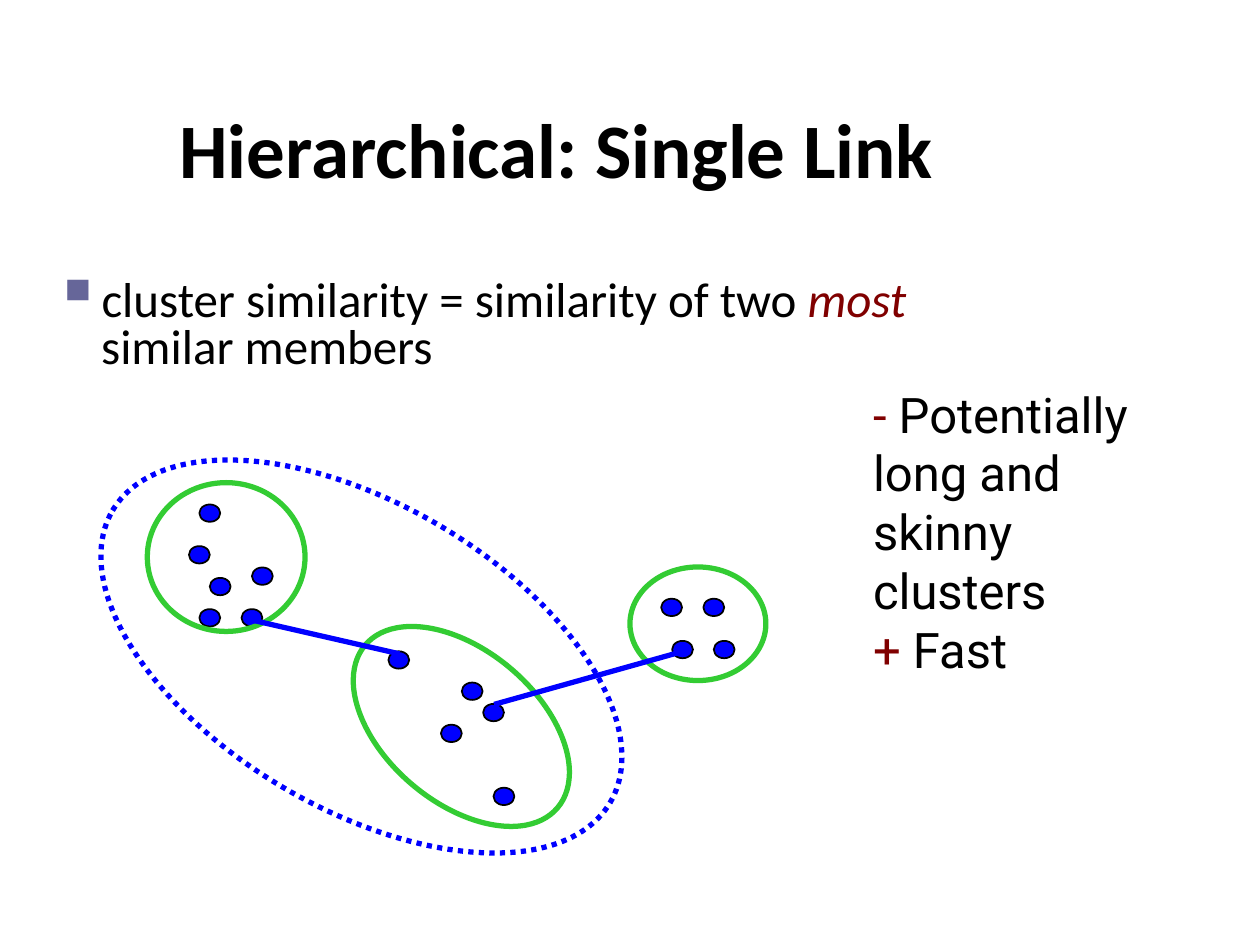
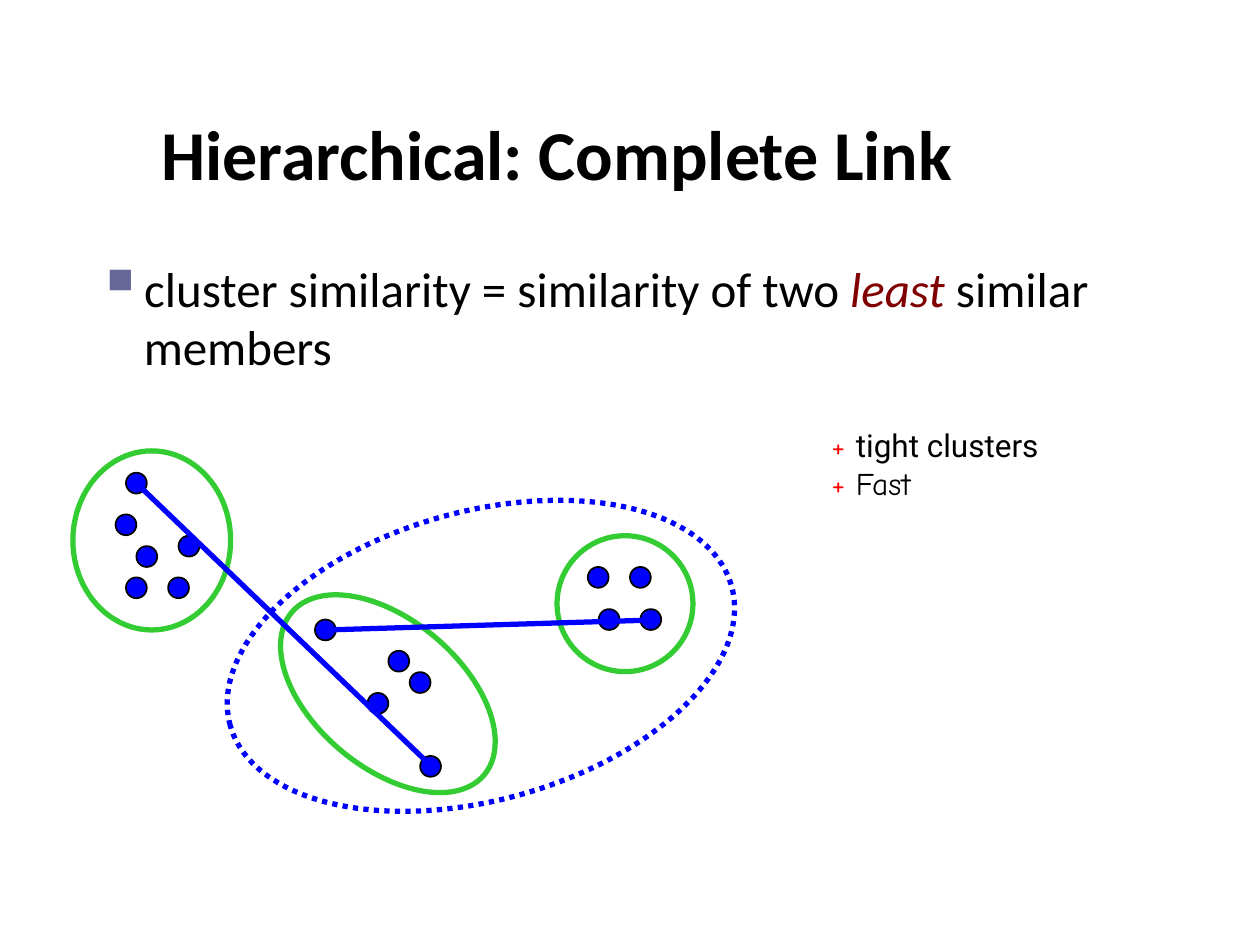
from lxml.etree import SubElement
from pptx import Presentation
from pptx.dml.color import RGBColor
from pptx.enum.dml import MSO_LINE
from pptx.enum.shapes import MSO_CONNECTOR, MSO_SHAPE
from pptx.enum.text import MSO_ANCHOR, PP_ALIGN
from pptx.oxml.ns import qn
from pptx.util import Cm, Pt

BLACK, BLUE, GREEN = "000000", "0000FF", "33CC33"
MAROON, RED, BULLET = "800000", "FF0000", "666699"
TITLE_FONT, NOTE_FONT, HAND_FONT = "Calibri", "Roboto", "Comic Neue"

# Top left corners of the data points (cm); each slide shifts them as a whole
POINTS = {
    "left": [(2.54, 9.53), (2.33, 10.37), (3.6, 10.8),
             (2.75, 11.01), (2.54, 11.64), (3.39, 11.64)],
    "middle": [(6.35, 12.49), (7.83, 13.12), (8.26, 13.55),
               (7.41, 13.97), (8.47, 15.24)],
    "right": [(11.85, 11.43), (12.7, 11.43), (12.07, 12.28), (12.91, 12.28)],
}
POINT_WIDTH = 0.42

# Boxes are left, top, width, height in cm; ellipses add a rotation.
# Runs are text, colour, font.
SLIDES = [
    {
        "title": ("Hierarchical: Single Link", 44, (0.43, 1.7, 21.59, 2.54)),
        "definition_box": (0.84, 5.51, 19.69, 2.34),
        "emphasis": "most",
        "line_spacing": 0.8,
        "point_shift": (1.48, 0.64),
        "point_height": 0.35,
        "clusters": [(12.7, 11.43, 2.74, 2.29, 0),
                     (2.97, 9.73, 3.18, 3, 0),
                     (6.76, 13.11, 5.08, 3.07, 40.2)],
        "links": [(5.08, 12.5, 8.05, 13.18), (13.77, 13.13, 9.96, 14.2)],
        "merged": (1.47, 10.16, 11.63, 6.15, 30.4),
        "notes_box": (17.35, 7.62, 6.99, 5.59),
        "notes_size": 28,
        "notes": [
            [("-", MAROON, NOTE_FONT),
             (" Potentially long and skinny clusters", BLACK, NOTE_FONT)],
            [("+", MAROON, NOTE_FONT), (" Fast", BLACK, NOTE_FONT)],
        ],
    },
    {
        "title": ("Hierarchical: Complete Link", 40, (0.43, 1.91, 21.59, 2.34)),
        "definition_box": (1.7, 5.08, 21.16, 2.74),
        "emphasis": "least",
        "line_spacing": 1.0,
        "point_shift": (0, 0),
        "point_height": 0.42,
        "clusters": [(11.23, 10.8, 2.74, 2.74, 0),
                     (1.47, 9.09, 3.18, 3.61, 0),
                     (5.28, 12.5, 5.08, 2.97, 40.2)],
        "links": [(2.74, 9.73, 8.69, 15.44), (13.13, 12.5, 6.55, 12.7)],
        "merged": (4.45, 10.31, 10.49, 5.82, 344.5),
        "notes_box": (16.51, 8.46, 7.62, 2.79),
        "notes_size": 18,
        "notes": [
            [("+ ", RED, HAND_FONT), ("tight clusters", BLACK, NOTE_FONT)],
            [("+ ", RED, HAND_FONT), ("Fast", BLACK, HAND_FONT)],
        ],
    },
]


def rgb(color):
    return RGBColor.from_string(color)


def cm(values):
    return [Cm(value) for value in values]


def add_text(slide, box, paragraphs, size):
    frame = slide.shapes.add_textbox(*cm(box)).text_frame
    frame.word_wrap = True
    for index, runs in enumerate(paragraphs):
        paragraph = frame.paragraphs[0] if index == 0 else frame.add_paragraph()
        paragraph.font.size = Pt(size)
        for text, color, font in runs:
            run = paragraph.add_run()
            run.text = text
            run.font.name = font
            run.font.color.rgb = rgb(color)
    return frame


def add_title(slide, text, size, box):
    frame = add_text(slide, box, [[(text, BLACK, TITLE_FONT)]], size)
    frame.vertical_anchor = MSO_ANCHOR.MIDDLE
    frame.paragraphs[0].alignment = PP_ALIGN.CENTER
    frame.paragraphs[0].font.bold = True


def add_definition(slide, box, emphasis, line_spacing):
    runs = [("cluster similarity = similarity of two ", BLACK, TITLE_FONT),
            (emphasis, MAROON, TITLE_FONT),
            (" similar members", BLACK, TITLE_FONT)]
    paragraph = add_text(slide, box, [runs], 28).paragraphs[0]
    paragraph.runs[1].font.italic = True
    paragraph.line_spacing = line_spacing
    # Square bullet with a hanging indent
    properties = paragraph._p.get_or_add_pPr()
    indent = Cm(0.95)
    properties.set("marL", str(indent))
    properties.set("indent", str(-indent))
    bullet_color = SubElement(properties, qn("a:buClr"))
    SubElement(bullet_color, qn("a:srgbClr"), val=BULLET)
    SubElement(properties, qn("a:buSzPct"), val="130000")
    SubElement(properties, qn("a:buChar"), char="▪")


def add_ellipse(slide, box, line, width, fill=None, rotation=0):
    ellipse = slide.shapes.add_shape(MSO_SHAPE.OVAL, *cm(box))
    ellipse.shadow.inherit = False
    ellipse.rotation = rotation
    ellipse.line.color.rgb = rgb(line)
    ellipse.line.width = Pt(width)
    if fill:
        ellipse.fill.solid()
        ellipse.fill.fore_color.rgb = rgb(fill)
    else:
        ellipse.fill.background()
    return ellipse


def add_link(slide, ends):
    link = slide.shapes.add_connector(MSO_CONNECTOR.STRAIGHT, *cm(ends))
    link.line.color.rgb = rgb(BLUE)
    link.line.width = Pt(3)
    SubElement(link._element.spPr, qn("a:effectLst"))


def add_diagram(slide, content):
    # Data points
    shift_x, shift_y = content["point_shift"]
    for cluster_points in POINTS.values():
        for x, y in cluster_points:
            box = (x + shift_x, y + shift_y, POINT_WIDTH, content["point_height"])
            add_ellipse(slide, box, BLACK, 1, fill=BLUE)
    # Clusters, the links between them and the merged cluster
    for *box, rotation in content["clusters"]:
        add_ellipse(slide, box, GREEN, 3, rotation=rotation)
    for ends in content["links"]:
        add_link(slide, ends)
    *box, rotation = content["merged"]
    merged = add_ellipse(slide, box, BLUE, 3, rotation=rotation)
    merged.line.dash_style = MSO_LINE.ROUND_DOT


def main():
    deck = Presentation()
    deck.slide_width, deck.slide_height = Cm(25.4), Cm(19.05)
    for content in SLIDES:
        slide = deck.slides.add_slide(deck.slide_layouts[6])
        add_title(slide, *content["title"])
        add_definition(slide, content["definition_box"], content["emphasis"],
                       content["line_spacing"])
        add_diagram(slide, content)
        add_text(slide, content["notes_box"], content["notes"],
                 content["notes_size"])
    deck.save("out.pptx")


if __name__ == "__main__":
    main()
